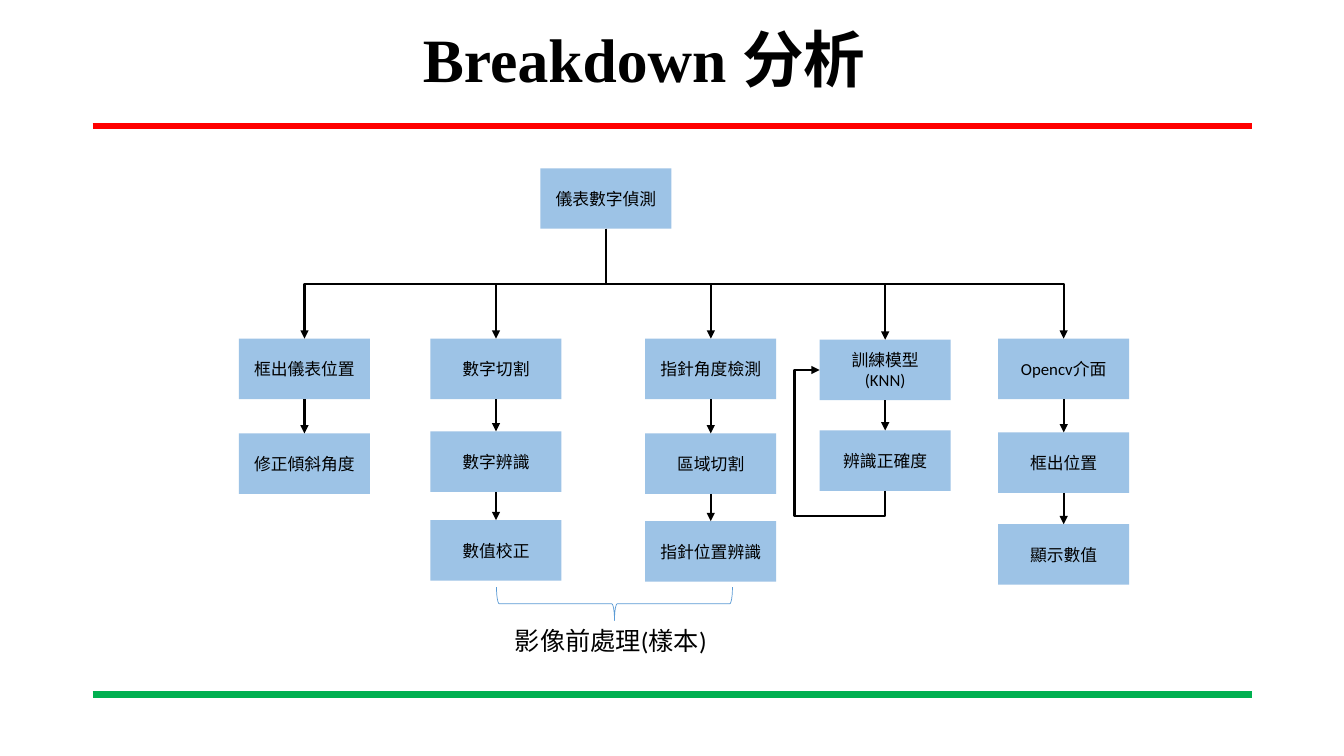
from lxml import etree
from pptx import Presentation
from pptx import util as u
from pptx.dml.color import RGBColor
from pptx.enum import shapes, text
from pptx.oxml.ns import qn

HUE = {"ink": "000000", "box": "9DC3E6", "top": "FF0000",
       "base": "00B050", "brace": "5B9BD5"}
WIDE, HIGH = u.Inches(13.33), u.Inches(7.5)
COL, ROW = WIDE / 100, HIGH / 100   # grid of 100 columns by 100 rows
BOX_W, BOX_H = 9.75, 8
MID = BOX_W / 2

# Branches: left column, then (row, label) for each step
ROOT = (22.43, 0, "儀表數字偵測")
TREE = [
    (0, [(22.53, "框出儀表位置"), (35.07, "修正傾斜角度")]),
    (14.25, [(22.53, "數字切割"), (34.8, "數字辨識"), (46.53, "數值校正")]),
    (30.23, [(22.53, "指針角度檢測"), (35.07, "區域切割"), (46.67, "指針位置辨識")]),
    (43.21, [(22.67, "訓練模型\n(KNN)"), (34.67, "辨識正確度")]),
    (56.49, [(22.53, "Opencv介面"), (34.93, "框出位置"), (47.07, "顯示數值")]),
]


def rgb(name):
    return RGBColor.from_string(HUE[name])


def spot(box, x, y):
    return u.Emu(round((box[0] + x) * COL)), u.Emu(round((box[1] + y) * ROW))


def size(w, h):
    return u.Emu(round(w * COL)), u.Emu(round(h * ROW))


def style(frame, pts, font="Calibri", bold=False, align=None):
    for para in frame.paragraphs:
        para.alignment = align
        for run in para.runs:
            run.font.size, run.font.name = u.Pt(pts), font
            run.font.bold, run.font.color.rgb = bold, rgb("ink")


def link(slide, start, end, kind=shapes.MSO_CONNECTOR.STRAIGHT,
         hue="ink", pts=1.5, arrow=True):
    line = slide.shapes.add_connector(kind, *start, *end)
    line.line.color.rgb, line.line.width = rgb(hue), u.Pt(pts)
    if arrow:
        etree.SubElement(line.line._get_or_add_ln(), qn("a:tailEnd"), type="triangle")
    etree.SubElement(line._element.spPr, qn("a:effectLst"))
    return line


def elbow(slide, start, end, turn, flip):
    """Bent arrow that leaves its start vertically: a quarter-turned frame."""
    mx, my = (start[0] + end[0]) // 2, (start[1] + end[1]) // 2
    half_w, half_h = abs(end[1] - start[1]) // 2, abs(end[0] - start[0]) // 2
    if flip:
        half_w = -half_w
    line = link(slide, (mx - half_w, my - half_h), (mx + half_w, my + half_h),
                shapes.MSO_CONNECTOR.ELBOW)
    line._element.spPr.xfrm.set("rot", str(turn * 60000))
    return line


def node(slide, box, x, y, label):
    rect = slide.shapes.add_shape(shapes.MSO_SHAPE.RECTANGLE,
                                  *spot(box, x, y), *size(BOX_W, BOX_H))
    rect.shadow.inherit = False
    rect.fill.solid()
    rect.fill.fore_color.rgb = rgb("box")
    rect.line.fill.background()
    rect.text_frame.text = label
    rect.text_frame.vertical_anchor = text.MSO_ANCHOR.MIDDLE
    style(rect.text_frame, 12, align=text.PP_ALIGN.CENTER)


def rules(slide, box):
    for hue, y in (("top", 0), ("base", 75.2)):
        link(slide, spot(box, 0, y), spot(box, 86.27, y),
             hue=hue, pts=4.5, arrow=False)


def head(slide, box):
    title = slide.shapes.title
    title.left, title.top = spot(box, 0, 0)
    title.width, title.height = size(86.27, 19.33)
    frame = title.text_frame
    frame.text = "Breakdown 分析"
    frame.auto_size = text.MSO_AUTO_SIZE.NONE
    frame.vertical_anchor = text.MSO_ANCHOR.MIDDLE
    frame.paragraphs[0].line_spacing = 0.9
    style(frame, 44, "Times New Roman", True, text.PP_ALIGN.CENTER)


def tree(slide, box):
    node(slide, box, *ROOT)
    stem = spot(box, ROOT[0] + MID, BOX_H)
    for x, steps in TREE:
        for y, label in steps:
            node(slide, box, x, y, label)
        # Root to branch, then step to step
        right = x > ROOT[0]
        elbow(slide, stem, spot(box, x + MID, steps[0][0]),
              270 if right else 90, right)
        for (y, _), (below, _) in zip(steps, steps[1:]):
            link(slide, spot(box, x + MID, y + BOX_H), spot(box, x + MID, below))


def loop(slide, box):
    """Feedback from the accuracy check to the training model."""
    x, steps = TREE[3]
    line = elbow(slide, spot(box, x + MID, steps[1][0] + BOX_H),
                 spot(box, x, steps[0][0] + BOX_H / 2), 90, True)
    geom = line._element.spPr.prstGeom
    geom.set("prst", "bentConnector4")
    guides = geom.get_or_add_avLst()
    for name, share in (("adj1", -21000), ("adj2", 138400)):
        etree.SubElement(guides, qn("a:gd"), name=name, fmla=f"val {share}")


def note(slide, box):
    """Brace under the two image branches, with its caption."""
    brace = slide.shapes.add_shape(shapes.MSO_SHAPE.RIGHT_BRACE,
                                   *spot(box, 6.9, -17.73), *size(2.48, 31.2))
    brace.rotation = 90
    brace.shadow.inherit = False
    brace.fill.background()
    brace.line.color.rgb, brace.line.width = rgb("brace"), u.Pt(0.5)
    label = slide.shapes.add_textbox(*spot(box, 0, 0), *size(16.35, 5.33))
    label.text_frame.word_wrap = True
    label.text_frame.text = "影像前處理(樣本)"
    style(label.text_frame, 18)


deck = Presentation()
deck.slide_width, deck.slide_height = WIDE, HIGH
page = deck.slides.add_slide(deck.slide_layouts[5])
rules(page, (6.9, 16.67))
head(page, (4.8, -1.33))
tree(page, (17.78, 22.27))
loop(page, (17.78, 22.27))
note(page, (37.58, 82))
deck.save("out.pptx")
